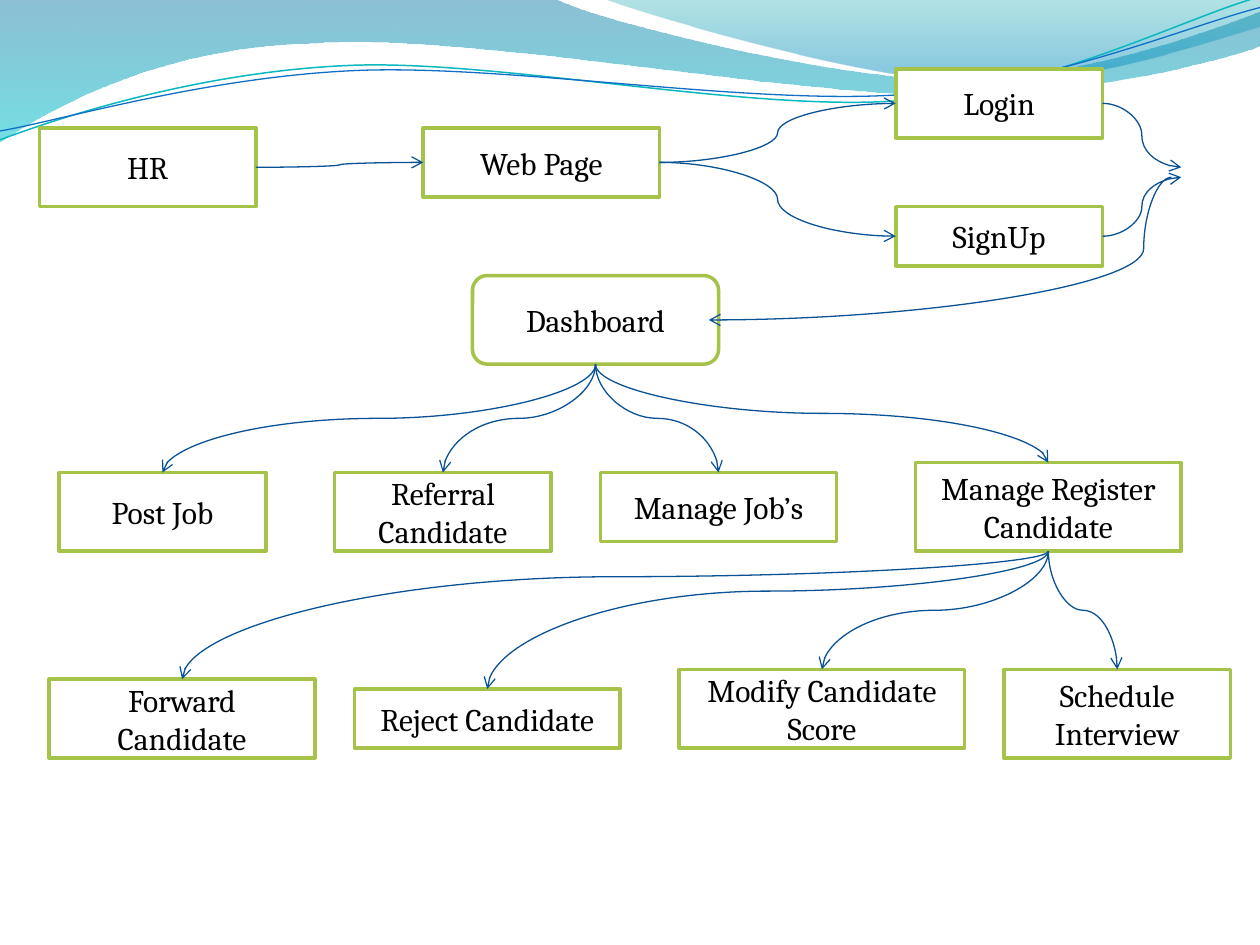
import pptx
import pptx.dml.color
import pptx.enum.shapes
import pptx.enum.text
import pptx.oxml
import pptx.oxml.ns
import pptx.util
from pptx.util import Inches

SHAPES = pptx.enum.shapes.MSO_SHAPE
TOP, LEFT, BOTTOM, RIGHT = range(4)
GRID = Inches(5 / 64)

# Each wave: start point, then cubic curves (six numbers) or straight lines (two).
BACK_WAVE = [(0, 0), (4.4, -0.01), (4.76, 0.17, 6.64, 0.63, 7.58, 0.63),
             (8.53, 0.63, 9.58, 0.26, 10, 0.09), (10.01, 0.36),
             (9.83, 0.44, 8.7, 0.76, 7.46, 0.75),
             (6.22, 0.75, 3.82, 0.28, 2.57, 0.34),
             (1.29, 0.36, 0.46, 0.83, -0.01, 1.13)]
FRONT_WAVE = [(4.79, -0.01), (5.09, 0.11, 6.82, 0.62, 7.69, 0.65),
              (8.56, 0.69, 9.61, 0.32, 10, 0.21), (10, 0)]
TEAL_STRAND = [(0, 1.11), (0.48, 0.93, 1.58, 0.57, 2.77, 0.52),
               (3.95, 0.47, 5.93, 0.89, 7.13, 0.8),
               (8.33, 0.71, 9.38, 0.15, 9.98, -0.02)]
BLUE_STRAND = [(0, 1.04), (0.47, 0.96, 1.64, 0.61, 2.83, 0.56),
               (4.03, 0.51, 5.97, 0.84, 7.17, 0.75),
               (8.36, 0.67, 9.41, 0.21, 10, 0.06)]

# Boxes in grid steps: left, top, width, height.
ENTRY_BOXES = {
    "HR": (4, 13, 22, 8),
    "Web Page": (43, 13, 24, 7),
    "Login": (91, 7, 21, 7),
    "SignUp": (91, 21, 21, 6),
}
DASHBOARD_BOX = (48, 28, 25, 9)
TASK_BOXES = {
    "Post Job": (6, 48, 21, 8),
    "Referral Candidate": (34, 48, 22, 8),
    "Manage Job’s": (61, 48, 24, 7),
    "Manage Register Candidate": (93, 47, 27, 9),
}
CANDIDATE_BOXES = {
    "Forward Candidate": (5, 69, 27, 8),
    "Reject Candidate": (36, 70, 27, 6),
    "Modify Candidate Score": (69, 68, 29, 8),
    "Schedule Interview": (102, 68, 23, 9),
}
CANDIDATE_BENDS = [0.2, 0.29, 0.5, 0.5]


def color(value):
    return pptx.dml.color.RGBColor.from_string(value)


def element(tag, attributes=""):
    namespace = pptx.oxml.ns.nsdecls("a")
    return pptx.oxml.parse_xml(f"<a:{tag} {namespace} {attributes}/>")


def on_grid(values):
    return [int(value * GRID) for value in values]


def set_line(line, value, width):
    line.color.rgb = color(value)
    line.width = pptx.util.Pt(width)


def add_outline(slide, segments, close):
    """Build the outline from its corners, then bend the curved segments."""
    corners = [(Inches(segment[-2]), Inches(segment[-1])) for segment in segments]
    builder = slide.shapes.build_freeform(*corners[0])
    builder.add_line_segments(corners[1:], close=close)
    shape = builder.convert_to_shape()
    shape.shadow.inherit = False
    lines = list(shape._element.spPr.iter(pptx.oxml.ns.qn("a:lnTo")))
    for line, segment in zip(lines, segments[1:]):
        if len(segment) == 2:
            continue
        curve = element("cubicBezTo")
        for x, y in zip(segment[::2], segment[1::2]):
            left, top = Inches(x) - shape.left, Inches(y) - shape.top
            curve.append(element("pt", f'x="{left}" y="{top}"'))
        line.getparent().replace(line, curve)
    return shape


def add_wave(slide, segments, stops):
    """Draw a gradient area; stops are (position, colour, opacity in percent)."""
    shape = add_outline(slide, segments, close=True)
    shape.line.fill.background()
    shape.fill.gradient()
    shape.fill.gradient_angle = 270
    for stop, (position, value, _) in zip(shape.fill.gradient_stops, stops):
        stop.position = position
        stop.color.rgb = color(value)
    colors = shape._element.spPr.iter(pptx.oxml.ns.qn("a:srgbClr"))
    for stop_color, (_, _, opacity) in zip(list(colors), stops):
        stop_color.append(element("alpha", f'val="{opacity * 1000}"'))


def add_strand(slide, segments, value, width):
    shape = add_outline(slide, segments, close=False)
    shape.fill.background()
    set_line(shape.line, value, width)


def add_header_waves(slide):
    add_wave(slide, BACK_WAVE, [(0, "0074A1", 45), (1, "00C6CF", 55)])
    add_wave(slide, FRONT_WAVE, [(0, "00A1A9", 30), (0.8, "008BBF", 45)])
    add_strand(slide, TEAL_STRAND, "0AB8BF", 0.85)
    add_strand(slide, BLUE_STRAND, "0F6FC6", 0.75)


def add_box(slide, text, box, kind=SHAPES.RECTANGLE):
    shape = slide.shapes.add_shape(kind, *on_grid(box))
    shape.shadow.inherit = False
    shape.fill.solid()
    shape.fill.fore_color.rgb = color("FFFFFF")
    set_line(shape.line, "A5C249", 2)
    frame = shape.text_frame
    frame.word_wrap = True
    frame.vertical_anchor = pptx.enum.text.MSO_ANCHOR.MIDDLE
    paragraph = frame.paragraphs[0]
    paragraph.text = text
    paragraph.alignment = pptx.enum.text.PP_ALIGN.CENTER
    font = paragraph.runs[0].font
    for name, value in {"name": "Cambria", "size": pptx.util.Pt(18)}.items():
        setattr(font, name, value)
    font.color.rgb = color("000000")
    return shape


def orient(connector, downward):
    """Turn the curve so that it leaves downward or sideways."""
    begin_x, begin_y = connector.begin_x, connector.begin_y
    across, down = connector.end_x - begin_x, connector.end_y - begin_y
    if downward:
        width, height = abs(down), abs(across)
        turn, flip_h, flip_v = (90, 0, 0) if across < 0 else (270, 1, 0)
    else:
        width, height = abs(across), abs(down)
        turn = 180 if across < 0 else 0
        flip_h, flip_v = 0, int((across < 0) != (down < 0))
    connector.left = int(begin_x + (across - width) / 2)
    connector.top = int(begin_y + (down - height) / 2)
    connector.width, connector.height = width, height
    transform = connector._element.spPr.find(pptx.oxml.ns.qn("a:xfrm"))
    values = {"rot": turn * 60000, "flipH": flip_h, "flipV": flip_v}
    for name, value in values.items():
        transform.set(name, str(value))


def add_arrow(slide, begin, end, downward=False, bend=0.5):
    """Join two ends, each a (shape, side) pair or an (x, y) grid point."""
    fixed = [(0, 0) if hasattr(place[0], "shape_type") else place
             for place in (begin, end)]
    connector = slide.shapes.add_connector(
        pptx.enum.shapes.MSO_CONNECTOR.CURVE, *on_grid(fixed[0] + fixed[1]))
    for place, join in ((begin, connector.begin_connect), (end, connector.end_connect)):
        if hasattr(place[0], "shape_type"):
            join(*place)
    orient(connector, downward)
    set_line(connector.line, "095295", 0.75)
    properties = connector._element.spPr
    properties.find(pptx.oxml.ns.qn("a:ln")).append(element("tailEnd", 'type="arrow"'))
    properties.append(element("effectLst"))
    guides = properties.find(".//" + pptx.oxml.ns.qn("a:avLst"))
    guides.append(element("gd", f'name="adj1" fmla="val {round(bend * 100000)}"'))


def add_entry(slide, boxes):
    staff, page, login, signup = [add_box(slide, *item) for item in boxes.items()]
    add_arrow(slide, (staff, RIGHT), (page, LEFT))
    for form, exit_point in ((login, (120, 17)), (signup, (120, 18))):
        add_arrow(slide, (page, RIGHT), (form, LEFT))
        add_arrow(slide, (form, RIGHT), exit_point)


def add_branches(slide, parent, boxes, bends):
    """Add a row of boxes below their parent and return them."""
    children = [add_box(slide, *item) for item in boxes.items()]
    for child, bend in zip(children, bends):
        add_arrow(slide, (parent, BOTTOM), (child, TOP), downward=True, bend=bend)
    return children


def main():
    presentation = pptx.Presentation()
    presentation.slide_width, presentation.slide_height = Inches(10), Inches(7.5)
    slide = presentation.slides.add_slide(presentation.slide_layouts[6])
    add_header_waves(slide)
    add_entry(slide, ENTRY_BOXES)
    dashboard = add_box(slide, "Dashboard", DASHBOARD_BOX, SHAPES.ROUNDED_RECTANGLE)
    add_arrow(slide, (119, 18), (72, 32.5), bend=0.06)
    tasks = add_branches(slide, dashboard, TASK_BOXES, [0.5] * 4)
    add_branches(slide, tasks[-1], CANDIDATE_BOXES, CANDIDATE_BENDS)
    presentation.save("out.pptx")


if __name__ == "__main__":
    main()
